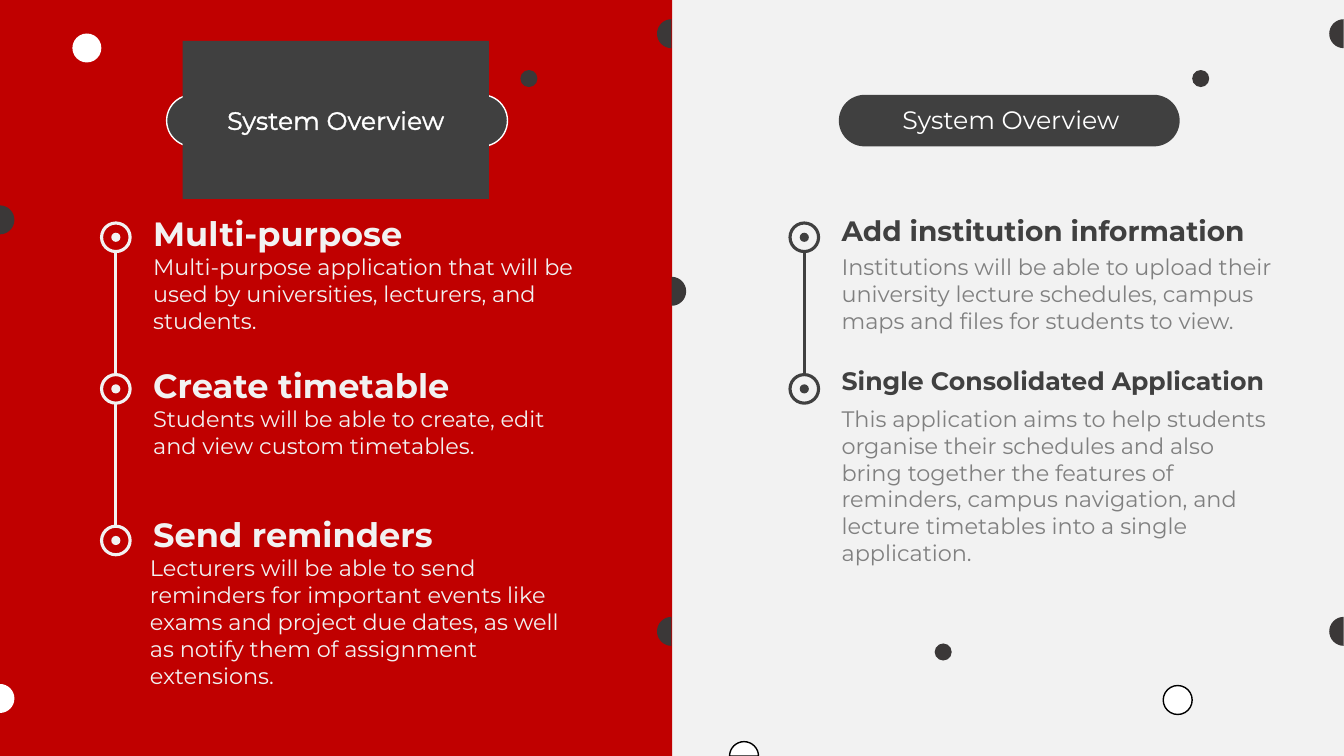
from lxml import etree
from pptx import Presentation
from pptx.dml.color import RGBColor
from pptx.enum import shapes, text
from pptx.oxml.ns import qn
from pptx.util import Cm, Pt

RED = RGBColor(0xC0, 0x00, 0x00)
PALE = RGBColor(0xF2, 0xF2, 0xF2)
WHITE = RGBColor(0xFF, 0xFF, 0xFF)
BLACK = RGBColor(0x00, 0x00, 0x00)
DARK = RGBColor(0x40, 0x40, 0x40)
SPOT = RGBColor(0x3B, 0x38, 0x38)
GREY = RGBColor(0x80, 0x80, 0x80)

WIDTH, HEIGHT = 33.87, 19.05
MIDDLE = 16.93
BIG, SMALL = 0.73, 0.43  # spot diameters
RING, CORE = 0.72, 0.23  # timeline marker diameters
FIRST, STEP = 5.98, 3.82  # timeline marker heights
BEND = 0.55  # handle length of a quarter circle, in radii


def write(sp, words, size=16, color=DARK, bold=False, align=None, anchor=text.MSO_ANCHOR.TOP):
    tf = sp.text_frame
    tf.word_wrap = True
    tf.auto_size = text.MSO_AUTO_SIZE.SHAPE_TO_FIT_TEXT
    tf.vertical_anchor = anchor
    p = tf.paragraphs[0]
    p.alignment = align
    r = p.add_run()
    r.text = words
    r.font.name = "Montserrat"
    r.font.size = Pt(size)
    r.font.bold = bold
    r.font.color.rgb = color
    return r


class Deck:
    def __init__(self):
        self.prs = Presentation()
        self.prs.slide_width, self.prs.slide_height = Cm(WIDTH), Cm(HEIGHT)
        self.s = self.prs.slides.add_slide(self.prs.slide_layouts[5])
        fill = self.s.background.fill
        fill.solid()
        fill.fore_color.rgb = PALE

    def paint(self, sp, fill=None, line=None, weight=1):
        sp.shadow.inherit = False
        if fill is None:
            sp.fill.background()
        else:
            sp.fill.solid()
            sp.fill.fore_color.rgb = fill
        if line is None:
            sp.line.fill.background()
        else:
            sp.line.color.rgb = line
            sp.line.width = Pt(weight)
        return sp

    def shape(self, kind, x, y, w, h, **look):
        sp = self.s.shapes.add_shape(kind, Cm(x), Cm(y), Cm(w), Cm(h))
        return self.paint(sp, **look)

    def disc(self, cx, cy, d, **look):
        return self.shape(shapes.MSO_SHAPE.OVAL, cx - d / 2, cy - d / 2, d, d, **look)

    def half_disc(self, cx, cy, turn, **look):
        """Half disc centred at cx, cy; it bulges to the left before the turn."""
        rad = BIG / 2
        left, top = cx - rad / 2, cy - rad
        outline = self.s.shapes.build_freeform(Cm(left + rad), Cm(top))
        corners = ((left + rad, top + BIG), (left, cy), (left + rad, top))
        outline.add_line_segments([(Cm(x), Cm(y)) for x, y in corners], close=True)
        sp = self.paint(outline.convert_to_shape(), **look)
        sp.rotation = turn
        # Turn the two slanted sides into quarter circles
        handles = (((1 - BEND, 2), (0, 1 + BEND)), ((0, 1 - BEND), (1 - BEND, 0)))
        sides = list(sp._element.iter(qn("a:lnTo")))[1:3]
        for side, pair in zip(sides, handles):
            side.tag = qn("a:cubicBezTo")
            for i, (x, y) in enumerate(pair):
                pt = etree.Element(qn("a:pt"), x=str(Cm(x * rad)), y=str(Cm(y * rad)))
                side.insert(i, pt)

    def line(self, x, y1, y2, color):
        c = self.s.shapes.add_connector(shapes.MSO_CONNECTOR.STRAIGHT, Cm(x), Cm(y1), Cm(x), Cm(y2))
        c.line.color.rgb = color
        c.line.width = Pt(2.25)
        etree.SubElement(c._element.spPr, qn("a:effectLst"))

    def label(self, x, y, w, h, words, **style):
        write(self.s.shapes.add_textbox(Cm(x), Cm(y), Cm(w), Cm(h)), words, **style)

    def pill(self, x, **look):
        sp = self.shape(shapes.MSO_SHAPE.ROUNDED_RECTANGLE, x, 2.39, 8.59, 1.3, fill=DARK, **look)
        sp.adjustments[0] = 0.5

    def title(self, sp, words):
        return write(sp, words, size=18, color=WHITE, align=text.PP_ALIGN.CENTER,
                     anchor=text.MSO_ANCHOR.MIDDLE)

    def timeline(self, x, items, color, body_color):
        for i, (head, size, width, body, lines, head_dy, body_dx, body_dy) in enumerate(items):
            y = FIRST + i * STEP
            if i:
                self.line(x, y - STEP + RING / 2, y - RING / 2, color)
            self.disc(x, y, CORE, fill=color)
            self.disc(x, y, RING, line=color, weight=2.25)
            self.label(x + 0.69, y + head_dy, width, 0.25 + size * 0.043, head,
                       size=size, color=color, bold=True)
            self.label(x + body_dx, y + body_dy, 11.56, 0.25 + lines * 0.69, body, color=body_color)


def main():
    d = Deck()

    # Left panel and its heading
    d.shape(shapes.MSO_SHAPE.RECTANGLE, -0.05, -0.03, 16.99, 19.1, fill=RED)
    d.pill(4.2, line=WHITE)
    heading = d.s.shapes.title
    heading.left, heading.top, heading.width, heading.height = Cm(4.6), Cm(2.51), Cm(7.72), Cm(1.02)
    d.paint(heading, fill=DARK)
    r = d.title(heading, "System Overview")
    outline = etree.Element(qn("a:ln"), w=str(Pt(0.75)))
    solid = etree.SubElement(outline, qn("a:solidFill"))
    etree.SubElement(solid, qn("a:srgbClr"), val=str(WHITE))
    r.font._element.insert(0, outline)
    tree = heading._element.getparent()
    tree.append(heading._element)  # bring in front of the panel

    # Right heading
    d.pill(21.14)
    d.title(d.shape(shapes.MSO_SHAPE.RECTANGLE, 21.64, 2.51, 7.67, 1.02, fill=DARK),
            "System Overview")

    # Round spots
    d.disc(2.19, 1.21, BIG, fill=WHITE)
    d.disc(29.68, 17.64, BIG, fill=WHITE, line=BLACK)
    for cx, cy in ((13.33, 1.98), (30.26, 1.98), (23.77, 16.43)):
        d.disc(cx, cy, SMALL, fill=SPOT)

    # Half spots along the panel edges
    d.half_disc(0.18, 17.6, 180, fill=WHITE)
    d.half_disc(18.75, 18.87, 90, fill=WHITE, line=BLACK)
    for cx, cy in ((0.18, 5.54), (MIDDLE + 0.18, 7.34)):
        d.half_disc(cx, cy, 180, fill=SPOT)
    for edge in (MIDDLE, WIDTH):
        for cy in (0.85, 15.91):
            d.half_disc(edge - 0.19, cy, 0, fill=SPOT)

    # Timelines: head, size, width, body, body lines, head dy, body dx, body dy
    d.timeline(2.92, [
        ("Multi-purpose", 24, 9.2,
         "Multi-purpose application that will be used by universities, lecturers, and students.",
         3, -0.74, 0.69, 0.28),
        ("Create timetable", 24, 9.68,
         "Students will be able to create, edit and view custom timetables.",
         2, -0.73, 0.69, 0.28),
        ("Send reminders", 24, 9.2,
         "Lecturers will be able to send reminders for important events like exams and project "
         "due dates, as well as notify them of assignment extensions.",
         5, -0.8, 0.61, 0.22),
    ], PALE, PALE)
    d.timeline(20.27, [
        ("Add institution information", 20, 10.92,
         "Institutions will be able to upload their university lecture schedules, campus maps "
         "and files for students to view.",
         3, -0.72, 0.69, 0.28),
        ("Single Consolidated Application", 18, 11.86,
         "This application aims to help students organise their schedules and also bring "
         "together the features of reminders, campus navigation, and lecture timetables into "
         "a single application.",
         6, -0.73, 0.69, 0.28),
    ], DARK, GREY)

    d.prs.save("out.pptx")


if __name__ == "__main__":
    main()
